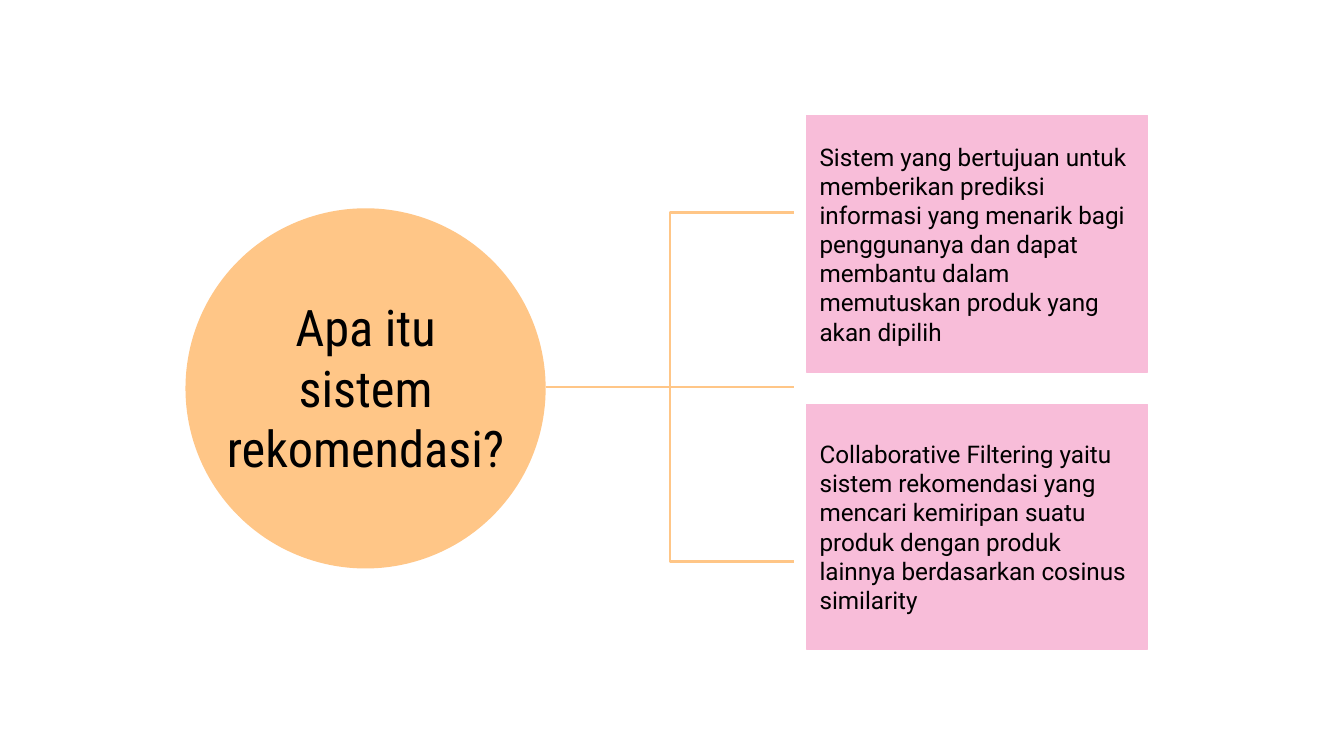
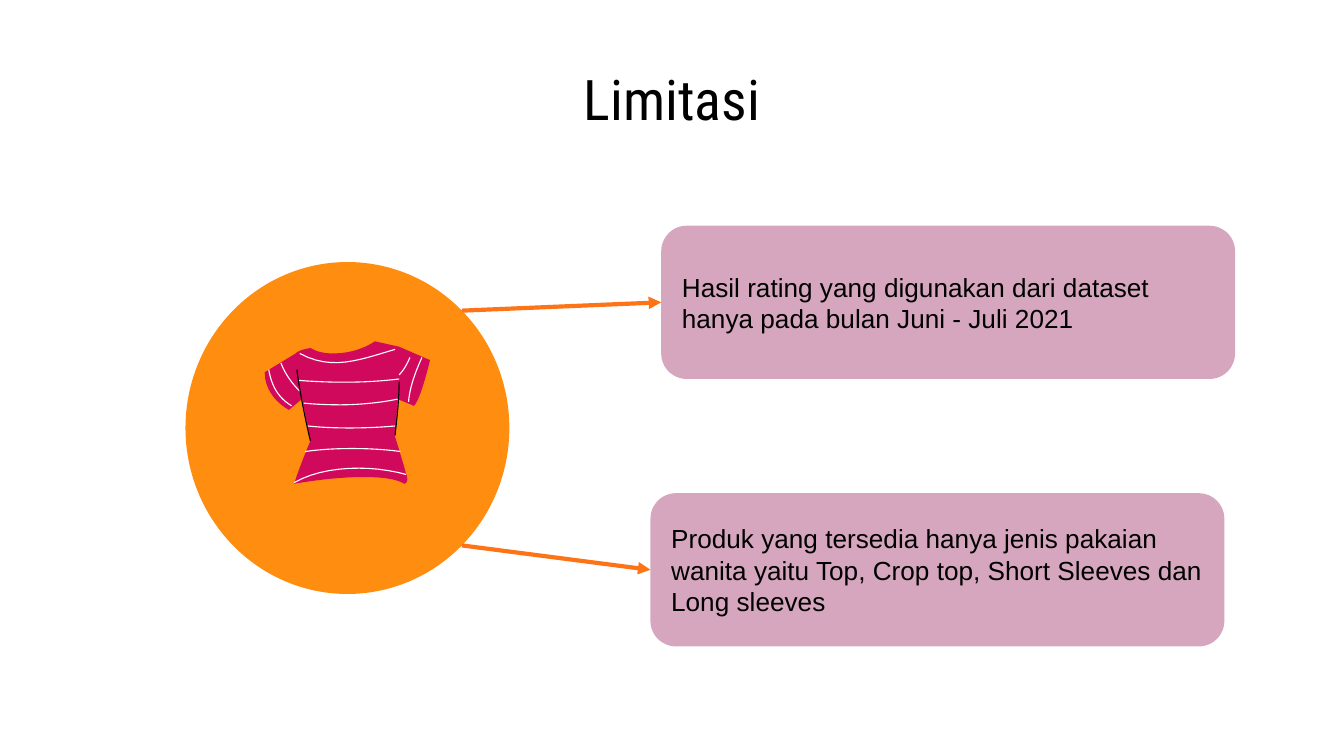
from math import sqrt

from pptx import Presentation
from pptx.dml.color import RGBColor
from pptx.enum.shapes import MSO_CONNECTOR as Link, MSO_SHAPE as Shape
from pptx.enum.text import MSO_ANCHOR as Anchor, MSO_AUTO_SIZE as AutoSize, PP_ALIGN as Align
from pptx.oxml.ns import qn
from pptx.util import Inches, Pt
from lxml.etree import SubElement

COLORS = {
    "text": "000000", "peach": "FFC687", "pink": "F8BDD9", "orange": "FF8D0F",
    "mauve": "D5A6BD", "arrow": "FE7316", "shirt": "D1095C", "stripe": "FFFFFF",
    "seam": "000000",
}
TITLE_FONT = "Roboto Condensed"

DEFINITIONS = [
    ("Sistem yang bertujuan untuk memberikan prediksi informasi yang menarik bagi "
     "penggunanya dan dapat membantu dalam memutuskan produk yang akan dipilih",
     (6, 0.86, 2.54, 1.91)),
    ("Collaborative Filtering yaitu sistem rekomendasi yang mencari kemiripan suatu "
     "produk dengan produk lainnya berdasarkan cosinus similarity",
     (6, 3.01, 2.54, 1.82)),
]
LIMITS = [
    ("Hasil rating yang digunakan dari dataset hanya pada bulan Juni - Juli 2021",
     (4.92, 1.68, 4.27, 1.14)),
    ("Produk yang tersedia hanya jenis pakaian wanita yaitu Top, Crop top, "
     "Short Sleeves dan Long sleeves",
     (4.84, 3.67, 4.27, 1.14)),
]

# Shirt outlines in inches from its corner: a start, then lines (1 point) or curves (3 points)
SHIRT_PARTS = [
    # Body
    [(0.82, 0),
     [(0.73, 0.06), (0.62, 0.09), (0.51, 0.09)],
     [(0.45, 0.09), (0.39, 0.08), (0.34, 0.05)],
     [(0.34, 0.05), (0.26, 0.06), (0.23, 0.09)],
     [(0.22, 0.1), (0.24, 0.22), (0.26, 0.33)],
     [(0.28, 0.44), (0.34, 0.74), (0.34, 0.74)],
     [(0.34, 0.74), (0.24, 0.98), (0.22, 1.06)],
     [(0.22, 1.06), (0.49, 1.01), (0.73, 1.01)],
     [(0.86, 1.01), (0.97, 1.02), (1.04, 1.06)],
     [(1.04, 1.06), (1.08, 1.05), (1.05, 0.98)],
     [(1.05, 0.97), (0.97, 0.71), (0.97, 0.71)],
     [(0.99, 0.43)], [(1, 0.04)]],
    # Left sleeve
    [(0.23, 0.09), [(0, 0.23)], [(0, 0.42), (0.18, 0.51), (0.18, 0.51)], [(0.3, 0.41)]],
    # Right sleeve
    [(1, 0.04), [(0.96, 0.14)], [(0.96, 0.52)], [(0.99, 0.43)], [(1.11, 0.48)],
     [(1.16, 0.44), (1.23, 0.14), (1.23, 0.14)]],
]
STRIPES = [
    [(0.03, 0.21), [(0.05, 0.33), (0.1, 0.42), (0.2, 0.48)]],
    [(0.12, 0.16), [(0.15, 0.24), (0.2, 0.31), (0.26, 0.37)]],
    [(0.26, 0.09), [(0.5, 0.22), (0.7, 0.14), (0.97, 0.06)]],
    [(0.25, 0.29), [(0.5, 0.31), (0.75, 0.31), (1, 0.28)]],
    [(0.29, 0.46), [(0.5, 0.48), (0.75, 0.48), (0.99, 0.43)]],
    [(0.32, 0.63), [(0.5, 0.65), (0.75, 0.65), (0.97, 0.63)]],
    [(0.3, 0.82), [(0.5, 0.79), (0.8, 0.79), (1.01, 0.82)]],
    [(1.08, 0.12), [(1.06, 0.17), (1.03, 0.22), (1, 0.25)]],
    [(1.17, 0.12), [(1.12, 0.23), (1.08, 0.34), (1.07, 0.45)]],
    [(0.22, 1.05), [(0.45, 0.92), (0.8, 0.92), (1.05, 0.99)]],
]
SEAMS = [
    [(0.24, 0.21), [(0.25, 0.32), (0.31, 0.62), (0.34, 0.74)]],
    [(1, 0.3), [(1, 0.45), (0.98, 0.6), (0.97, 0.7)]],
]


def rgb(name):
    return RGBColor.from_string(COLORS[name])


def inches(values):
    return [Inches(value) for value in values]


def write(shape, text, font, size, align=Align.LEFT):
    frame = shape.text_frame
    frame.text = text
    frame.word_wrap = True
    frame.auto_size = AutoSize.NONE
    frame.vertical_anchor = Anchor.MIDDLE
    frame.margin_left = frame.margin_right = Inches(0.1)
    frame.margin_top = frame.margin_bottom = Inches(0.1)
    paragraph = frame.paragraphs[0]
    paragraph.alignment = align
    run_font = paragraph.runs[0].font
    run_font.name, run_font.size = font, Pt(size)
    run_font.color.rgb = rgb("text")


def set_title(slide, text, box, size):
    title = slide.shapes.title
    title.left, title.top, title.width, title.height = inches(box)
    write(title, text, TITLE_FONT, size, Align.CENTER)
    return title


def add_panel(slide, kind, box, fill, outlined=False):
    panel = slide.shapes.add_shape(kind, *inches(box))
    panel.shadow.inherit = False
    panel.fill.solid()
    panel.fill.fore_color.rgb = rgb(fill)
    if outlined:
        panel.line.color.rgb = rgb(fill)
        panel.line.width = Pt(0.75)
    else:
        panel.line.fill.background()
    return panel


def add_link(slide, kind, start, end, color, width, arrow=False):
    link = slide.shapes.add_connector(kind, *inches((*start, *end)))
    link.line.color.rgb = rgb(color)
    link.line.width = Pt(width)
    if arrow:
        SubElement(link.line._get_or_add_ln(), qn("a:tailEnd"), type="triangle")
    SubElement(link.element.spPr, qn("a:effectLst"))
    return link


def trace(outline, steps=12):
    """Turn an outline of lines and Bezier curves into points."""
    points = [outline[0]]
    for segment in outline[1:]:
        if len(segment) == 1:
            points += segment
            continue
        corners = [points[-1], *segment]
        for step in range(1, steps + 1):
            t = step / steps
            weights = ((1 - t) ** 3, 3 * t * (1 - t) ** 2, 3 * t * t * (1 - t), t ** 3)
            points.append(tuple(sum(w * c[axis] for w, c in zip(weights, corners))
                                for axis in (0, 1)))
    return points


def add_shirt(slide, left, top):
    shirt = slide.shapes.add_group_shape()

    def draw(outline, closed):
        points = [(Inches(left + x), Inches(top + y)) for x, y in trace(outline)]
        builder = shirt.shapes.build_freeform(*points[0])
        builder.add_line_segments(points[1:], close=closed)
        piece = builder.convert_to_shape()
        piece.shadow.inherit = False
        return piece

    for outline in SHIRT_PARTS:
        cloth = draw(outline, True)
        cloth.fill.solid()
        cloth.fill.fore_color.rgb = rgb("shirt")
        cloth.line.fill.background()
    for outlines, color in ((STRIPES, "stripe"), (SEAMS, "seam")):
        for outline in outlines:
            thread = draw(outline, False)
            thread.fill.background()
            thread.line.color.rgb = rgb(color)
            thread.line.width = Pt(0.6)


def definition_slide(slide, circle_box):
    left, top, size, _ = circle_box
    # Branches from the circle
    hub = (left + size, 2.88)
    for offset in (0, -1.3, 1.3):
        add_link(slide, Link.ELBOW, hub, (hub[0] + 1.85, hub[1] + offset), "peach", 1.5)
    # Question in the circle
    circle = add_panel(slide, Shape.FLOWCHART_CONNECTOR, circle_box, "peach")
    title = set_title(slide, "Apa itu sistem rekomendasi?",
                      (left + 0.2, top + 0.52, size - 0.4, 1.62), 27)
    circle.element.addnext(title.element)
    # Answers
    for text, box in DEFINITIONS:
        write(add_panel(slide, Shape.RECTANGLE, box, "pink", outlined=True), text, "Roboto", 13)


def limits_slide(slide, circle_box):
    left, top, width, height = circle_box
    set_title(slide, "Limitasi", (0.5, 0.45, 9, 0.56), 30)
    # Shirt on its disc
    add_panel(slide, Shape.FLOWCHART_CONNECTOR, circle_box, "orange")
    add_shirt(slide, left + 0.59, top + 0.59)
    # Limits, each reached by an arrow from a diagonal of the disc
    reach = sqrt(0.5) / 2
    for (text, box), side in zip(LIMITS, (-1, 1)):
        card = add_panel(slide, Shape.ROUNDED_RECTANGLE, box, "mauve")
        write(card, text, "Arial", 14)
        start = (left + width * (0.5 + reach), top + height * (0.5 + side * reach))
        end = (box[0], box[1] + box[3] / 2)
        arrow = add_link(slide, Link.STRAIGHT, start, end, "arrow", 2.25, arrow=True)
        arrow.end_connect(card, 1)


def main():
    deck = Presentation()
    deck.slide_width, deck.slide_height = Inches(10), Inches(10 * 9 / 16)
    title_only = deck.slide_layouts[5]
    definition_slide(deck.slides.add_slide(title_only), (1.38, 1.55, 2.68, 2.68))
    limits_slide(deck.slides.add_slide(title_only), (1.38, 1.95, 2.41, 2.47))
    deck.save("out.pptx")


if __name__ == "__main__":
    main()
